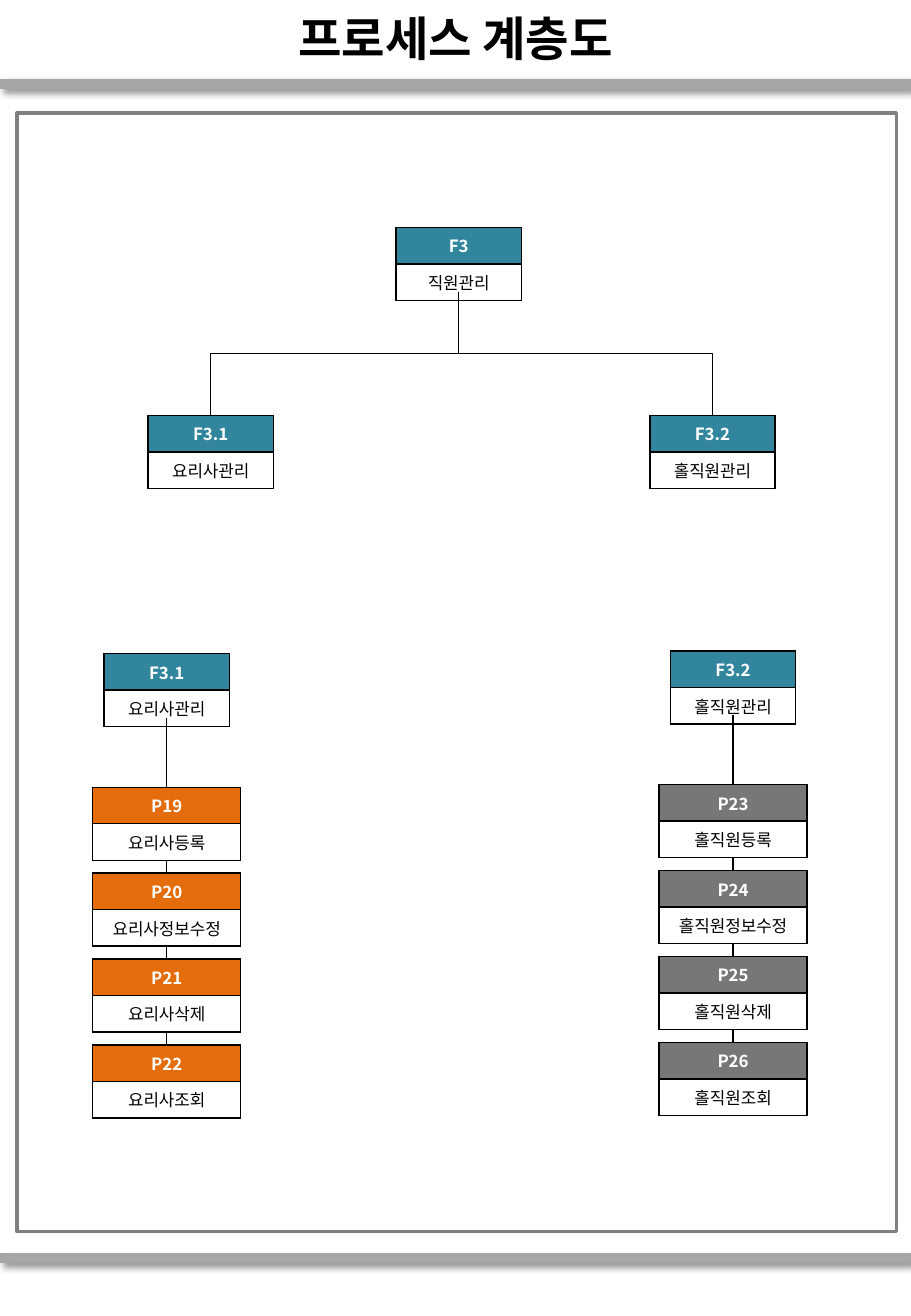
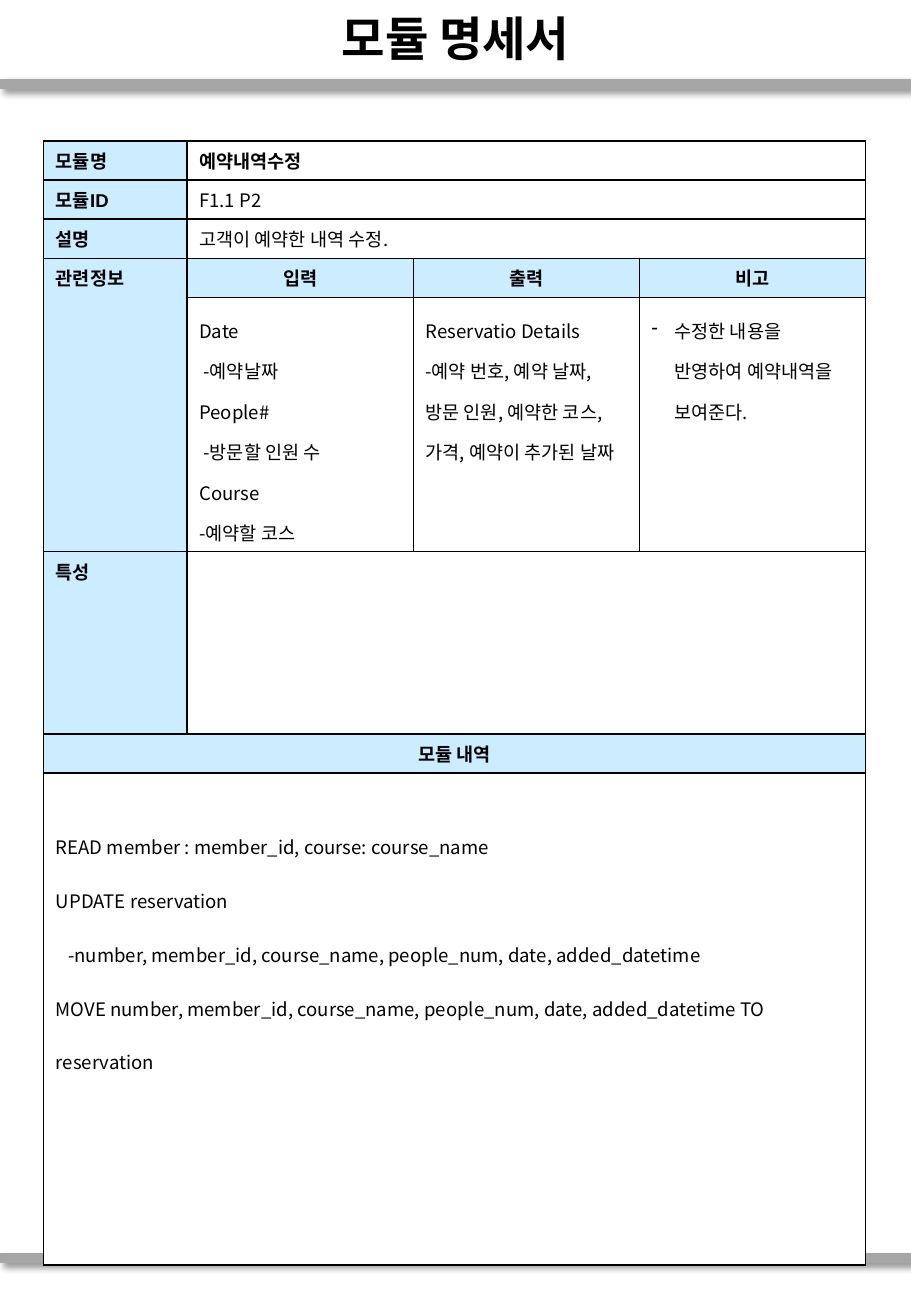
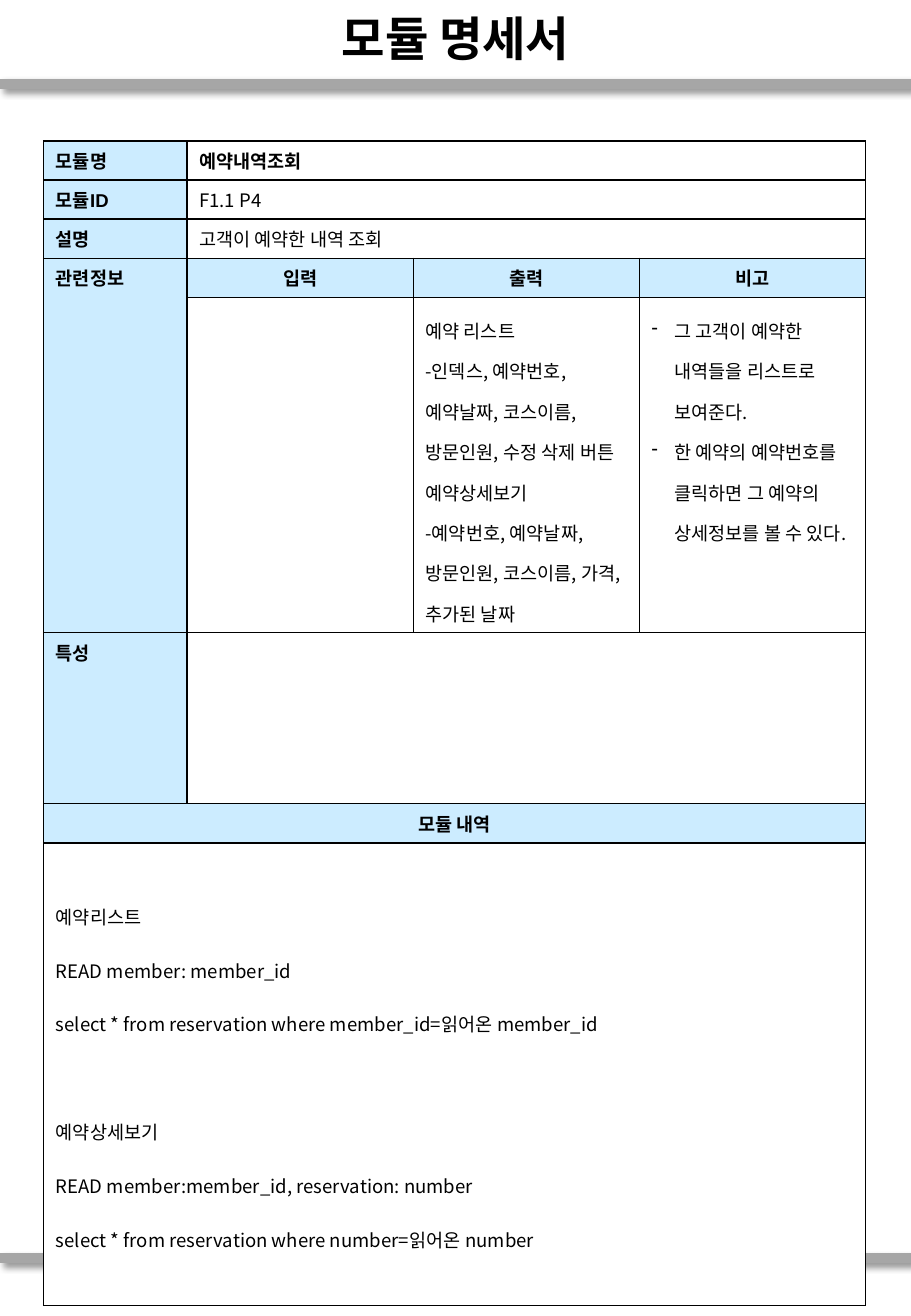
from dataclasses import dataclass

from lxml import etree
from pptx import Presentation
from pptx.dml.color import RGBColor
from pptx.enum import shapes, text
from pptx.oxml.ns import qn
from pptx.util import Pt

COLORS = {
    "black": "000000",
    "white": "FFFFFF",
    "band": "A6A6A6",
    "frame": "808080",
    "function": "31859C",
    "cook": "E46C0A",
    "hall": "777777",
    "label": "CCECFF",
}
KOREAN_FONT = "Noto Sans CJK KR"
LABEL_FONT = "Arial"
SLIDE_WIDTH, SLIDE_HEIGHT = 540, 780
BAND_TOPS = (49.7, 745.9)
CENTER = text.PP_ALIGN.CENTER

FUNCTION_WIDTH, PROCESS_WIDTH = 74.2, 87.8
BOX_ROW = 19
BOX_HEIGHT = 2 * BOX_ROW
FIRST_PROCESS_OFFSET, PROCESS_PITCH = 79.2, 50.9

TABLE_LEFT, TABLE_TOP = 25.9, 83.5
COLUMN_WIDTHS = (85, 134.1, 134.1, 134.1)
BULLET_INDENT = 13.5
DETAIL_MARGIN_TOP = 19.5


@dataclass
class Box:
    code: str
    name: str
    color: str = "function"


@dataclass
class Branch:
    center: float
    top: float
    root: Box
    processes: list[Box]


@dataclass
class Line:
    text: str
    indent: float = 0
    space_before: float = 0
    bullet: bool = False


@dataclass
class Module:
    name: str
    code: str
    description: str
    inputs: list[Line]
    outputs: list[Line]
    remarks: list[Line]
    details: list[Line]
    row_heights: tuple


ROOT = Box("F3", "직원관리")
COOKS = Box("F3.1", "요리사관리")
HALL = Box("F3.2", "홀직원관리")
ACTIONS = ("등록", "정보수정", "삭제", "조회")


def processes(first: int, staff: str, color: str) -> list[Box]:
    return [Box(f"P{number}", staff + action, color)
            for number, action in enumerate(ACTIONS, first)]


BRANCHES = [
    Branch(98.8, 387.4, COOKS, processes(19, "요리사", "cook")),
    Branch(434.5, 385.9, HALL, processes(23, "홀직원", "hall")),
]

MODULES = [
    Module(
        "예약내역수정", "F1.1 P2", "고객이 예약한 내역 수정.",
        inputs=[Line("Date"), Line("-예약날짜", 2.5), Line("People#"),
                Line("-방문할 인원 수", 2.5), Line("Course"), Line("-예약할 코스")],
        outputs=[Line("Reservatio Details"),
                 Line("-예약 번호, 예약 날짜, 방문 인원, 예약한 코스, 가격, 예약이 추가된 날짜")],
        remarks=[Line("수정한 내용을 반영하여 예약내역을 보여준다.", bullet=True)],
        details=[
            Line("READ member : member_id, course: course_name"),
            Line("UPDATE reservation"),
            Line("-number, member_id, course_name, people_num, date, added_datetime", 7.2),
            Line("MOVE number, member_id, course_name, people_num, date, "
                 "added_datetime TO reservation"),
        ],
        row_heights=(12.2, 12.2, 12.2, 10.1, 133.9, 108, 12.2, 291.6),
    ),
    Module(
        "예약내역조회", "F1.1 P4", "고객이 예약한 내역 조회",
        inputs=[],
        outputs=[Line("예약 리스트"),
                 Line("-인덱스, 예약번호, 예약날짜, 코스이름, 방문인원, 수정 삭제 버튼"),
                 Line("예약상세보기"),
                 Line("-예약번호, 예약날짜, 방문인원, 코스이름, 가격, 추가된 날짜")],
        remarks=[Line("그 고객이 예약한 내역들을 리스트로 보여준다.", bullet=True),
                 Line("한 예약의 예약번호를 클릭하면 그 예약의 상세정보를 볼 수 있다.",
                      bullet=True)],
        details=[
            Line("예약리스트"),
            Line("READ member: member_id"),
            Line("select * from reservation where member_id=읽어온 member_id"),
            Line("예약상세보기", space_before=32),
            Line("READ member:member_id, reservation: number"),
            Line("select * from reservation where number=읽어온 number"),
        ],
        row_heights=(20.2, 20.2, 20.2, 20.2, 159.1, 101.5, 20.2, 274.3),
    ),
]


def rgb(name: str) -> RGBColor:
    return RGBColor.from_string(COLORS[name])


def format_font(paragraph, size: float, color: str = "black", bold: bool = False,
                latin: str = KOREAN_FONT) -> None:
    font = paragraph.font
    font.size, font.bold, font.name = Pt(size), bold, latin
    font.color.rgb = rgb(color)
    properties = paragraph._p.pPr.find(qn("a:defRPr"))
    etree.SubElement(properties, qn("a:ea"), typeface=KOREAN_FONT)


def add_line(slide, start: tuple, end: tuple, color: str = "black", width: float = 0.75,
             kind=shapes.MSO_CONNECTOR.STRAIGHT):
    connector = slide.shapes.add_connector(kind, *map(Pt, start + end))
    connector.line.color.rgb = rgb(color)
    connector.line.width = Pt(width)
    etree.SubElement(connector.element.spPr, qn("a:effectLst"))
    return connector


def add_tree_elbow(slide, parent: tuple, child: tuple) -> None:
    """Join two points by a line that goes down, across and down."""
    middle_x, middle_y = (parent[0] + child[0]) / 2, (parent[1] + child[1]) / 2
    half_width = (child[1] - parent[1]) / 2
    half_height = abs(child[0] - parent[0]) / 2
    to_right = child[0] > parent[0]
    if to_right:
        half_width = -half_width
    connector = add_line(slide, (middle_x - half_width, middle_y - half_height),
                         (middle_x + half_width, middle_y + half_height),
                         kind=shapes.MSO_CONNECTOR.ELBOW)
    transform = connector.element.spPr.find(qn("a:xfrm"))
    transform.set("rot", str((270 if to_right else 90) * 60000))


def add_bands(slide, layout) -> None:
    """Draw the shadowed bands and hand them over to the layout."""
    for top in BAND_TOPS:
        band = add_line(slide, (0, top), (SLIDE_WIDTH, top), "band", 6)
        effects = band.element.spPr.find(qn("a:effectLst"))
        shadow = etree.SubElement(
            effects, qn("a:outerShdw"), blurRad=str(Pt(4)), dist=str(Pt(3)),
            dir=str(45 * 60000), algn="tl", rotWithShape="0")
        color = etree.SubElement(shadow, qn("a:srgbClr"), val=COLORS["black"])
        etree.SubElement(color, qn("a:alpha"), val="40000")
        layout.shapes.element.append(band.element)


def prepare_layout(layout) -> None:
    for placeholder in list(layout.placeholders):
        if placeholder.placeholder_format.type == shapes.PP_PLACEHOLDER.TITLE:
            placeholder.left, placeholder.top = Pt(0), Pt(0.7)
            placeholder.width, placeholder.height = Pt(SLIDE_WIDTH), Pt(43.2)
        else:
            placeholder.element.getparent().remove(placeholder.element)


def add_titled_slide(presentation, layout, title: str):
    slide = presentation.slides.add_slide(layout)
    frame = slide.shapes.title.text_frame
    frame.text = title
    frame.vertical_anchor = text.MSO_ANCHOR.MIDDLE
    paragraph = frame.paragraphs[0]
    paragraph.alignment = CENTER
    format_font(paragraph, 28, bold=True)
    return slide


def add_plain_table(slide, left: float, top: float, widths: tuple, heights: tuple):
    """Add a table of white cells with thin black borders."""
    table = slide.shapes.add_table(len(heights), len(widths), Pt(left), Pt(top),
                                   Pt(sum(widths)), Pt(sum(heights))).table
    table.first_row = table.horz_banding = False
    for column, width in zip(table.columns, widths):
        column.width = Pt(width)
    for row, height in zip(table.rows, heights):
        row.height = Pt(height)
    for cell in table.iter_cells():
        properties = cell._tc.get_or_add_tcPr()
        for side in ("lnL", "lnR", "lnT", "lnB"):
            border = etree.SubElement(properties, qn(f"a:{side}"), w=str(Pt(1)))
            fill = etree.SubElement(border, qn("a:solidFill"))
            etree.SubElement(fill, qn("a:srgbClr"), val=COLORS["black"])
        fill_cell(cell, "white")
    return table


def fill_cell(cell, color: str) -> None:
    cell.fill.solid()
    cell.fill.fore_color.rgb = rgb(color)


def write_cell(cell, content: str, size: float = 11, align=None, **font) -> None:
    cell.text = content
    paragraph = cell.text_frame.paragraphs[0]
    paragraph.alignment = align
    format_font(paragraph, size, **font)


def write_label(cell, content: str, align=None) -> None:
    fill_cell(cell, "label")
    write_cell(cell, content, align=align, bold=True, latin=LABEL_FONT)


def write_lines(cell, lines: list[Line], spacing: float) -> None:
    frame = cell.text_frame
    for index, line in enumerate(lines):
        paragraph = frame.add_paragraph() if index else frame.paragraphs[0]
        paragraph.text = line.text
        properties = paragraph._p.get_or_add_pPr()
        if line.bullet:
            properties.set("marL", str(Pt(BULLET_INDENT)))
            properties.set("indent", str(-Pt(BULLET_INDENT)))
            etree.SubElement(properties, qn("a:buChar"), char="-")
        elif line.indent:
            properties.set("marL", str(Pt(line.indent)))
        paragraph.line_spacing = spacing
        if line.space_before:
            paragraph.space_before = Pt(line.space_before)
        format_font(paragraph, 11)


def add_box(slide, box: Box, center: float, top: float, width: float) -> None:
    table = add_plain_table(slide, center - width / 2, top, (width,), (BOX_ROW, BOX_ROW))
    code, name = table.cell(0, 0), table.cell(1, 0)
    fill_cell(code, box.color)
    write_cell(code, box.code, 10, CENTER, color="white", bold=True)
    write_cell(name, box.name, 10, CENTER)


def add_branch(slide, branch: Branch) -> None:
    add_box(slide, branch.root, branch.center, branch.top, FUNCTION_WIDTH)
    tops = [branch.top + FIRST_PROCESS_OFFSET + index * PROCESS_PITCH
            for index in range(len(branch.processes))]
    add_line(slide, (branch.center, branch.top + BOX_HEIGHT), (branch.center, tops[-1]))
    for process, top in zip(branch.processes, tops):
        add_box(slide, process, branch.center, top, PROCESS_WIDTH)


def draw_hierarchy(slide) -> None:
    frame = slide.shapes.add_shape(shapes.MSO_SHAPE.RECTANGLE,
                                   Pt(10.1), Pt(67), Pt(521.3), Pt(663.1))
    frame.shadow.inherit = False
    frame.fill.solid()
    frame.fill.fore_color.rgb = rgb("white")
    frame.line.color.rgb = rgb("frame")
    frame.line.width = Pt(2)

    root_center, root_top, child_top = 271.9, 134.8, 246.2
    add_box(slide, ROOT, root_center, root_top, FUNCTION_WIDTH)
    for child, center in ((COOKS, 124.9), (HALL, 422.3)):
        add_box(slide, child, center, child_top, FUNCTION_WIDTH)
        add_tree_elbow(slide, (root_center, root_top + BOX_HEIGHT), (center, child_top))
    for branch in BRANCHES:
        add_branch(slide, branch)


def draw_module(slide, module: Module) -> None:
    table = add_plain_table(slide, TABLE_LEFT, TABLE_TOP, COLUMN_WIDTHS, module.row_heights)
    for row in (0, 1, 2, 5):
        table.cell(row, 1).merge(table.cell(row, 3))
    for row in (6, 7):
        table.cell(row, 0).merge(table.cell(row, 3))
    table.cell(3, 0).merge(table.cell(4, 0))

    for row, label in ((0, "모듈명"), (1, "모듈ID"), (2, "설명"), (3, "관련정보"), (5, "특성")):
        write_label(table.cell(row, 0), label)
    for row, value in enumerate((module.name, module.code, module.description)):
        write_cell(table.cell(row, 1), value, bold=row == 0)
    related = (("입력", module.inputs), ("출력", module.outputs), ("비고", module.remarks))
    for column, (label, lines) in enumerate(related, 1):
        write_label(table.cell(3, column), label, CENTER)
        write_lines(table.cell(4, column), lines, 1.5)
    write_label(table.cell(6, 0), "모듈 내역", CENTER)
    details = table.cell(7, 0)
    details.margin_top = Pt(DETAIL_MARGIN_TOP)
    write_lines(details, module.details, 2.0)


def main() -> None:
    presentation = Presentation()
    presentation.slide_width, presentation.slide_height = Pt(SLIDE_WIDTH), Pt(SLIDE_HEIGHT)
    layout = presentation.slide_layouts.get_by_name("Title Only")
    prepare_layout(layout)

    hierarchy = add_titled_slide(presentation, layout, "프로세스 계층도")
    add_bands(hierarchy, layout)
    draw_hierarchy(hierarchy)
    for module in MODULES:
        draw_module(add_titled_slide(presentation, layout, "모듈 명세서"), module)
    presentation.save("out.pptx")


if __name__ == "__main__":
    main()
